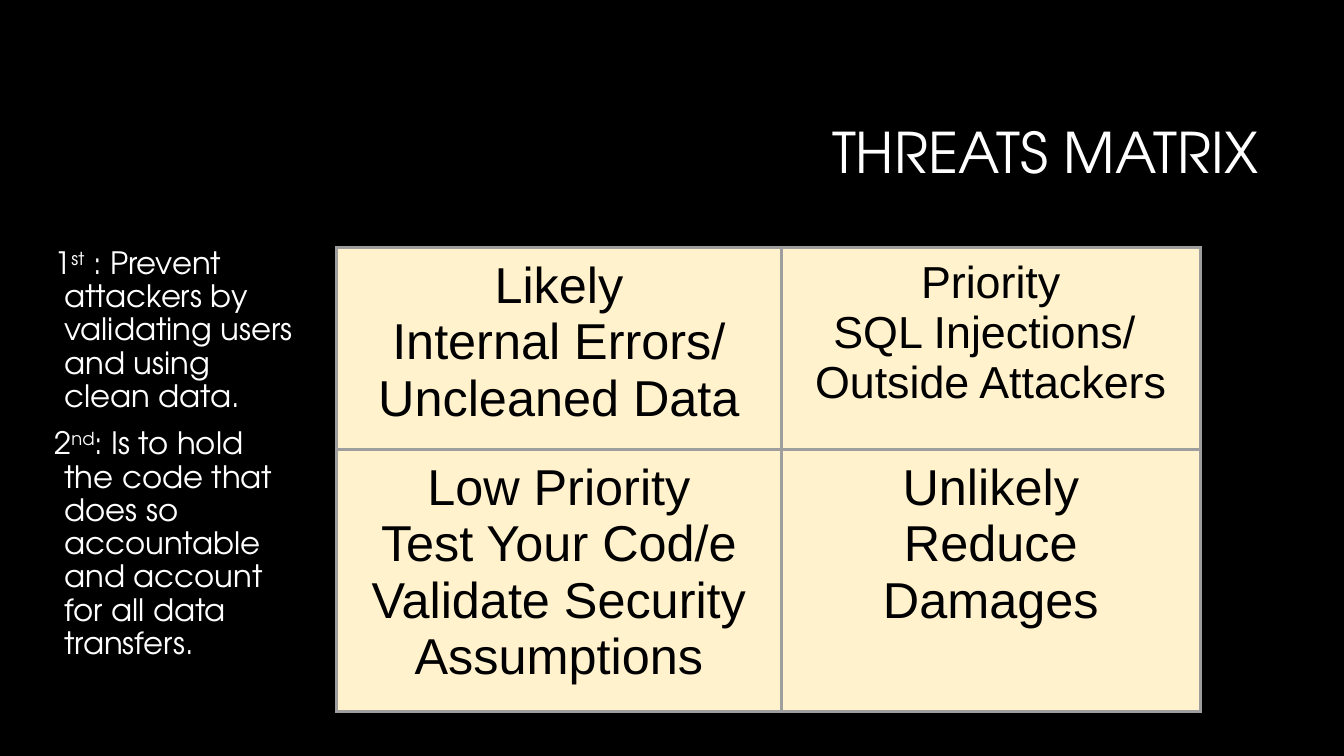
from pptx import Presentation
from pptx.dml.color import RGBColor
from pptx.enum.text import MSO_ANCHOR, PP_ALIGN
from pptx.oxml import parse_xml
from pptx.oxml.ns import nsdecls
from pptx.util import Pt

"""Threats matrix slide: title, two numbered notes and a two-by-two table."""

COLORS = {"back": "000000", "light": "FFFFFF", "dark": "000000",
          "cell": "FFF2CC", "border": "9E9E9E"}
HEAD_FONT, CELL_FONT = "TeX Gyre Adventor", "Arial"

TITLE = "THREATS MATRIX"
NOTES = [
    ("1", "st", " : Prevent attackers by validating users and using clean data."),
    ("2", "nd", ": Is to hold the code that does so accountable and account for all data transfers."),
]
MATRIX = [
    [("Likely", "Internal Errors/\nUncleaned Data", 36),
     ("Priority", "SQL Injections/ \nOutside Attackers", 32)],
    [("Low Priority", "Test Your Cod/e Validate Security Assumptions", 36),
     ("Unlikely", "Reduce Damages", 36)],
]
TITLE_BOX = (228, 60.5, 678, 101.5)
NOTES_BOX = (21, 173.5, 196, 317)
TABLE_LEFT, TABLE_TOP = 240.5, 177
COL_WIDTHS, ROW_HEIGHT = (317.5, 299.5), 139
CELL_INSET, BORDER_WIDTH = 7.2, 2.25


def add_text(p, text, size, font, color, align=PP_ALIGN.LEFT, spacing=None, baseline=0):
    p.alignment = align
    if spacing:
        p.line_spacing = spacing
    for i, line in enumerate(text.split("\n")):
        if i:
            p.add_line_break()
        r = p.add_run()
        r.text = line
        r.font.size, r.font.name = Pt(size), font
        r.font.color.rgb = RGBColor.from_string(COLORS[color])
        if baseline:
            r.font._element.set("baseline", str(baseline))


def add_box(s, box):
    tf = s.shapes.add_textbox(*map(Pt, box)).text_frame
    tf.word_wrap = True
    return tf


def paragraph(tf, index):
    return tf.add_paragraph() if index else tf.paragraphs[0]


def set_borders(cell):
    tcPr = cell._tc.get_or_add_tcPr()
    for i, side in enumerate(("lnL", "lnR", "lnT", "lnB")):
        tcPr.insert(i, parse_xml(
            f'<a:{side} {nsdecls("a")} w="{Pt(BORDER_WIDTH)}"><a:solidFill>'
            f'<a:srgbClr val="{COLORS["border"]}"/></a:solidFill></a:{side}>'))


def add_matrix(s):
    table = s.shapes.add_table(len(MATRIX), len(COL_WIDTHS), Pt(TABLE_LEFT), Pt(TABLE_TOP),
                               Pt(sum(COL_WIDTHS)), Pt(ROW_HEIGHT * len(MATRIX))).table
    table.first_row = table.horz_banding = False
    for col, width in zip(table.columns, COL_WIDTHS):
        col.width = Pt(width)
    for y, row in enumerate(MATRIX):
        table.rows[y].height = Pt(ROW_HEIGHT)
        for x, (*lines, size) in enumerate(row):
            cell = table.cell(y, x)
            cell.margin_left = cell.margin_right = Pt(CELL_INSET)
            cell.margin_top = cell.margin_bottom = Pt(CELL_INSET)
            cell.fill.solid()
            cell.fill.fore_color.rgb = RGBColor.from_string(COLORS["cell"])
            set_borders(cell)
            for i, line in enumerate(lines):
                add_text(paragraph(cell.text_frame, i), line, size, CELL_FONT, "dark",
                         align=PP_ALIGN.CENTER)


def main():
    prs = Presentation()
    prs.slide_width, prs.slide_height = Pt(960), Pt(540)
    s = prs.slides.add_slide(prs.slide_layouts[6])
    s.background.fill.solid()
    s.background.fill.fore_color.rgb = RGBColor.from_string(COLORS["back"])

    tf = add_box(s, TITLE_BOX)
    tf.vertical_anchor = MSO_ANCHOR.MIDDLE
    add_text(tf.paragraphs[0], TITLE, 40, HEAD_FONT, "light",
             align=PP_ALIGN.RIGHT, spacing=0.9)

    tf = add_box(s, NOTES_BOX)
    for i, (number, suffix, note) in enumerate(NOTES):
        p = paragraph(tf, i)
        p.space_before = Pt(10)
        pPr = p._p.get_or_add_pPr()
        pPr.set("marL", str(Pt(18)))
        pPr.set("indent", str(Pt(-7.2)))
        for text, baseline in ((number, 0), (suffix, 30000), (note, 0)):
            add_text(p, text, 22, HEAD_FONT, "light", spacing=0.9, baseline=baseline)

    add_matrix(s)
    prs.save("out.pptx")


if __name__ == "__main__":
    main()
